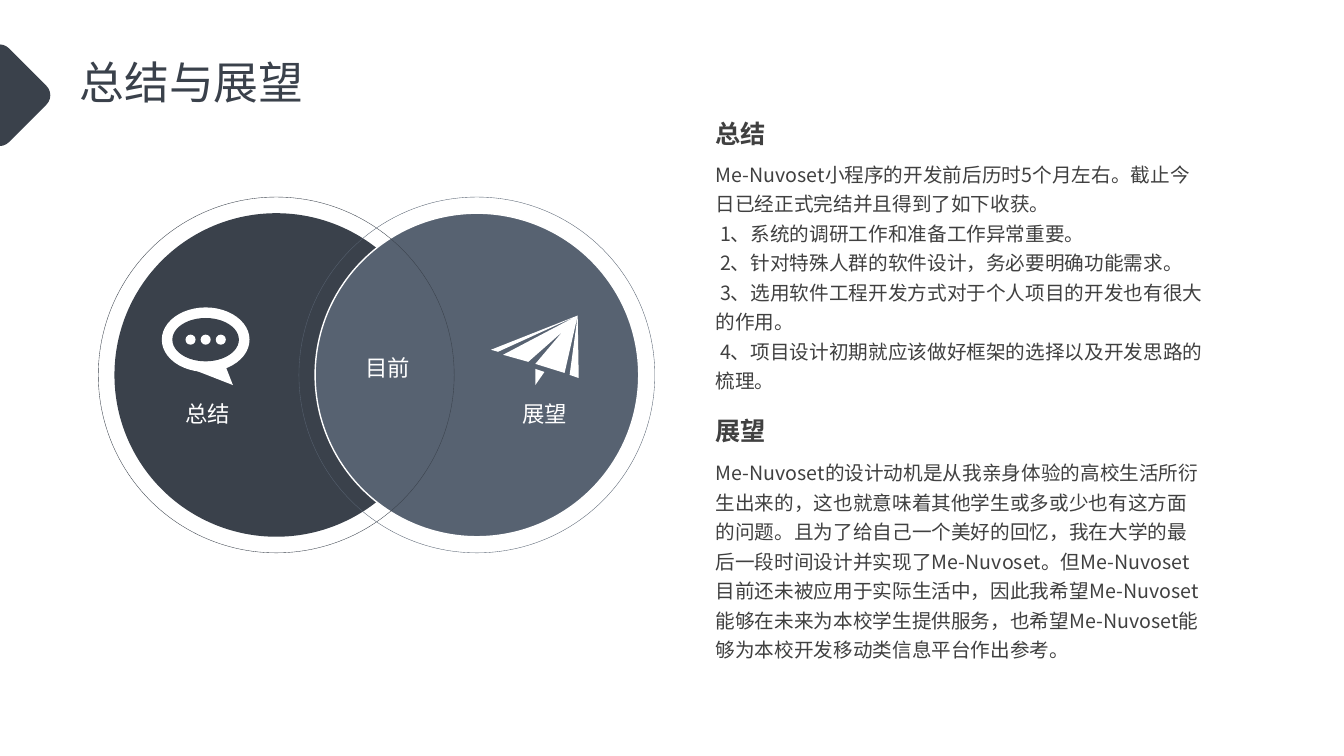
from pptx import Presentation
from pptx.dml.color import RGBColor
from pptx.enum import shapes, text
from pptx.oxml import ns
from pptx.util import Inches, Pt
from lxml import etree

INK = RGBColor(0x3A, 0x41, 0x4B)
SLATE = RGBColor(0x57, 0x62, 0x71)
BODY = RGBColor(0x40, 0x40, 0x40)
WHITE = RGBColor(0xFF, 0xFF, 0xFF)
CJK = "Noto Sans CJK SC"


class Deck:
    """Holds the style and the current slide, and draws each kind of element."""

    def __init__(self):
        self.prs = Presentation()
        self.prs.slide_width = Inches(13.33)
        self.prs.slide_height = Inches(7.5)
        self.slide = self.prs.slides.add_slide(self.prs.slide_layouts[6])

    def paint(self, shape, fill=None, line=None, width=1):
        shape.shadow.inherit = False
        if fill is None:
            shape.fill.background()
        else:
            shape.fill.solid()
            shape.fill.fore_color.rgb = fill
        if line is None:
            shape.line.fill.background()
        else:
            shape.line.color.rgb = line
            shape.line.width = Pt(width)
        return shape

    def preset(self, kind, x, y, w, h, **style):
        shape = self.slide.shapes.add_shape(
            kind, Inches(x), Inches(y), Inches(w), Inches(h))
        return self.paint(shape, **style)

    def ellipse(self, cx, cy, w, h, **style):
        return self.preset(shapes.MSO_SHAPE.OVAL, cx - w / 2, cy - h / 2, w, h, **style)

    def outline(self, contours, fill):
        contours = [[(Inches(x), Inches(y)) for x, y in c] for c in contours]
        builder = self.slide.shapes.build_freeform(*contours[0][0])
        for number, contour in enumerate(contours):
            if number:
                builder.move_to(*contour[0])
            builder.add_line_segments(contour[1:])
        return self.paint(builder.convert_to_shape(), fill=fill)

    def textbox(self, words, x, y, w, h, size, color, font=CJK, bold=False,
                align=text.PP_ALIGN.LEFT, spacing=None):
        frame = self.slide.shapes.add_textbox(
            Inches(x), Inches(y), Inches(w), Inches(h)).text_frame
        frame.word_wrap = True
        frame.auto_size = text.MSO_AUTO_SIZE.SHAPE_TO_FIT_TEXT
        frame.text = words
        for paragraph in frame.paragraphs:
            paragraph.alignment = align
            paragraph.line_spacing = spacing
            for run in paragraph.runs:
                run.font.size = Pt(size)
                run.font.bold = bold
                run.font.color.rgb = color
                run.font.name = font
                east_asian = etree.SubElement(run.font._element, ns.qn("a:ea"))
                east_asian.set("typeface", CJK)


SUMMARY = "\n".join([
    "Me-Nuvoset小程序的开发前后历时5个月左右。截止今日已经正式完结并且得到了如下收获。",
    " 1、系统的调研工作和准备工作异常重要。",
    " 2、针对特殊人群的软件设计，务必要明确功能需求。",
    " 3、选用软件工程开发方式对于个人项目的开发也有很大的作用。",
    " 4、项目设计初期就应该做好框架的选择以及开发思路的梳理。",
])
OUTLOOK = (
    "Me-Nuvoset的设计动机是从我亲身体验的高校生活所衍生出来的，这也就意味着其他学生"
    "或多或少也有这方面的问题。且为了给自己一个美好的回忆，我在大学的最后一段时间设计并"
    "实现了Me-Nuvoset。但Me-Nuvoset目前还未被应用于实际生活中，因此我希望Me-Nuvoset"
    "能够在未来为本校学生提供服务，也希望Me-Nuvoset能够为本校开发移动类信息平台作出参考。"
)
PAPER_PLANE = [
    [(5.31, 3.82), (5.4, 3.69), (5.31, 3.66)],
    [(5.24, 3.59), (5.58, 3.29), (5.31, 3.61), (5.6, 3.7), (5.73, 3.13), (4.99, 3.52)],
    [(4.94, 3.49), (5.73, 3.13), (4.87, 3.47)],
    [(5.74, 3.75), (5.73, 3.13), (5.65, 3.72)],
]
BUBBLE_TAIL = [[(1.9, 3.66), (2.31, 3.82), (2.24, 3.64), (2.04, 3.6)]]


def main():
    deck = Deck()
    marker = deck.preset(shapes.MSO_SHAPE.ROUNDED_RECTANGLE,
                         -0.4, 0.55, 0.79, 0.79, fill=INK)
    marker.rotation = 45
    deck.textbox("总结与展望", 0.69, 0.49, 3.75, 0.64, 32, INK)

    venn = [(2.74, INK, None), (4.73, SLATE, WHITE)]
    for cx, color, edge in venn:
        deck.ellipse(cx, 3.72, 3.21, 3.21, fill=color, line=edge)
    for cx, color, _ in venn:
        deck.ellipse(cx, 3.72, 3.53, 3.53, line=color, width=0.25)

    for label, x, y, w in [("总结", 1.35, 3.92, 1.42), ("展望", 4.69, 3.92, 1.42),
                           ("目前", 3.26, 3.46, 1.17)]:
        deck.textbox(label, x, y, w, 0.37, 16, WHITE, font="Arial",
                     align=text.PP_ALIGN.CENTER)

    deck.outline(PAPER_PLANE, WHITE)
    deck.ellipse(2.04, 3.37, 0.87, 0.64, fill=WHITE)
    deck.outline(BUBBLE_TAIL, WHITE)
    deck.ellipse(2.04, 3.37, 0.66, 0.43, fill=INK)
    for step in (-1, 0, 1):
        deck.ellipse(2.04 + 0.15 * step, 3.37, 0.1, 0.1, fill=WHITE)

    for heading, top, body, body_top, height in [
            ("总结", 1.12, SUMMARY, 1.51, 2.46), ("展望", 4.07, OUTLOOK, 4.47, 2.16)]:
        deck.textbox(heading, 7, top, 1.26, 0.4, 18, BODY, bold=True)
        deck.textbox(body, 7, body_top, 5.04, height, 14, BODY, spacing=1.25)

    deck.prs.save("out.pptx")


if __name__ == "__main__":
    main()
